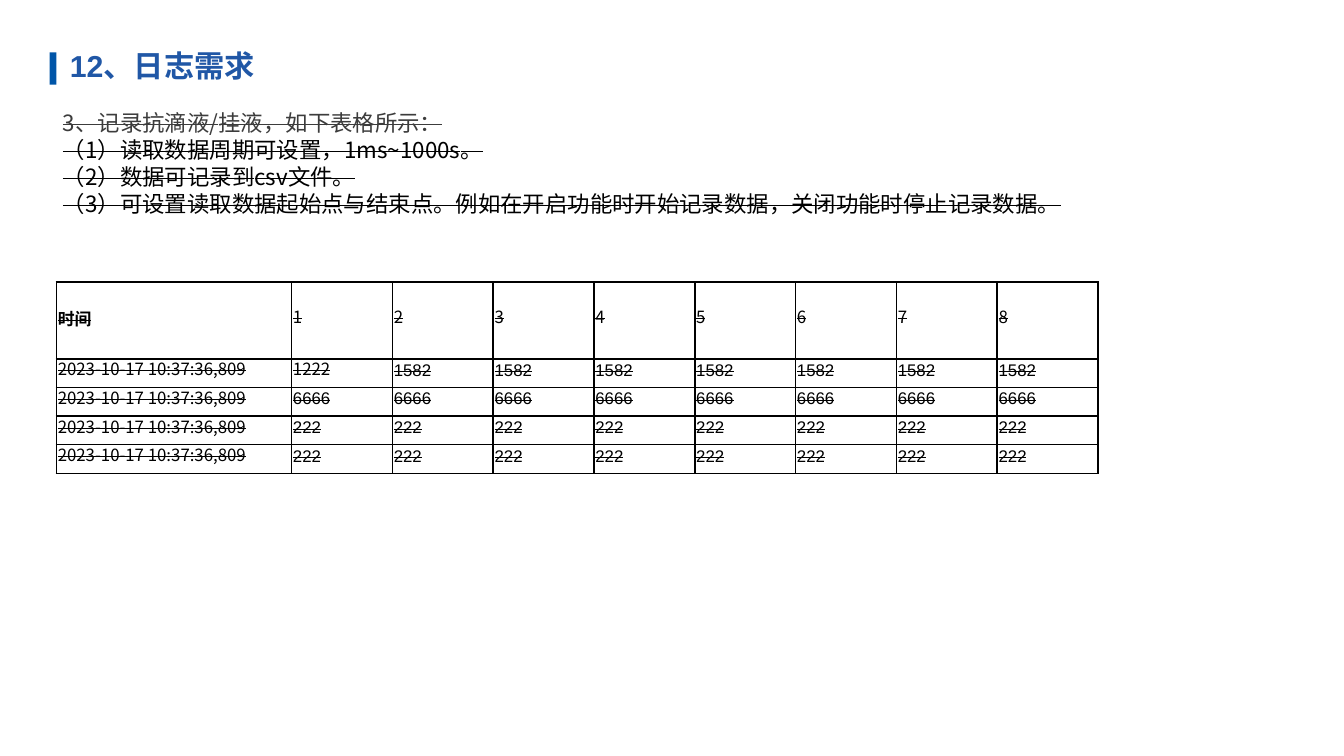
from lxml import etree
from pptx import Presentation, util as u
from pptx.dml.color import RGBColor
from pptx.enum import shapes, text
from pptx.oxml import ns

TITLE = "12、日志需求"
REQUIREMENTS = [
    "3、记录抗滴液/挂液，如下表格所示：",
    "（1）读取数据周期可设置，1ms~1000s。",
    "（2）数据可记录到csv文件。",
    "（3）可设置读取数据起始点与结束点。例如在开启功能时开始记录数据，关闭功能时停止记录数据。",
]
CHANNELS = 8
STAMP = "2023-10-17 10:37:36,809"
LOG = [
    ["时间"] + [str(number + 1) for number in range(CHANNELS)],
    [STAMP, "1222"] + ["1582"] * (CHANNELS - 1),
    [STAMP] + ["6666"] * CHANNELS,
    [STAMP] + ["222"] * CHANNELS,
    [STAMP] + ["222"] * CHANNELS,
]
COLORS = {"title": "2057A6", "bar": "0055A8", "intro": "3C3C3C", "ink": "000000"}
LATIN, CJK = "Arial", "Noto Sans CJK SC"
WIDTH = 10
HEIGHT = WIDTH * 9 / 16
COLUMNS = [1.75] + [0.75] * CHANNELS
ROWS = [0.57] + [0.21] * (len(LOG) - 1)
MARGINS = {"margin_left": 0.01, "margin_right": 0.01, "margin_top": 0.01, "margin_bottom": 0.05}


def box(*lengths):
    return [u.Inches(length) for length in lengths]


def write(paragraph, words, color, size, font, bold=False, strike=True, spacing=None):
    paragraph.alignment = text.PP_ALIGN.LEFT
    if spacing:
        paragraph.line_spacing = u.Pt(spacing)
    run = paragraph.add_run()
    run.text = words
    for name, value in {"name": font, "size": u.Pt(size), "bold": bold}.items():
        setattr(run.font, name, value)
    run.font.color.rgb = RGBColor.from_string(COLORS[color])
    properties = run._r.get_or_add_rPr()
    if strike:
        properties.set("strike", "sngStrike")
    etree.SubElement(properties, ns.qn("a:ea")).set("typeface", CJK)


def draw_borders(cell):
    properties = cell._tc.get_or_add_tcPr()
    for index, side in enumerate(("lnL", "lnR", "lnT", "lnB")):
        line = etree.Element(ns.qn("a:" + side), w=str(u.Pt(1)))
        fill = etree.SubElement(line, ns.qn("a:solidFill"))
        etree.SubElement(fill, ns.qn("a:srgbClr")).set("val", COLORS["ink"])
        properties.insert(index, line)


def add_heading(slide):
    bar = slide.shapes.add_shape(shapes.MSO_SHAPE.RECTANGLE, *box(0.37, 0.39, 0.05, 0.24))
    bar.shadow.inherit = False
    bar.fill.solid()
    bar.fill.fore_color.rgb = RGBColor.from_string(COLORS["bar"])
    bar.line.fill.background()
    title = slide.shapes.title
    title.left, title.top, title.width, title.height = box(0.42, 0.3, 4.59, 0.38)
    title.text_frame.vertical_anchor = text.MSO_ANCHOR.MIDDLE
    write(title.text_frame.paragraphs[0], TITLE, "title", 16.2, LATIN, bold=True, strike=False)


def add_requirements(slide):
    frame = slide.shapes.add_textbox(*box(0.37, 0.76, 9.28, 0.91)).text_frame
    frame.word_wrap = True
    for index, words in enumerate(REQUIREMENTS):
        paragraph = frame.add_paragraph() if index else frame.paragraphs[0]
        write(paragraph, words, "ink" if index else "intro", 12, CJK, spacing=14.5)


def add_log(slide):
    area = box(0.42, 2.1, sum(COLUMNS), sum(ROWS))
    table = slide.shapes.add_table(len(ROWS), len(COLUMNS), *area).table
    for column, width in zip(table.columns, COLUMNS):
        column.width = u.Inches(width)
    for row, height in zip(table.rows, ROWS):
        row.height = u.Inches(height)
    for r, values in enumerate(LOG):
        for c, words in enumerate(values):
            cell = table.cell(r, c)
            cell.fill.background()
            cell.vertical_anchor = text.MSO_ANCHOR.MIDDLE
            for name, value in MARGINS.items():
                setattr(cell, name, u.Inches(value))
            draw_borders(cell)
            heading = r == c == 0
            plain = heading or (c > 0 and r > 0 and (r, c) != (1, 1))
            font, spacing = (LATIN, None) if plain else (CJK, 11)
            write(cell.text_frame.paragraphs[0], words, "ink", 9, font, bold=heading, spacing=spacing)


def main():
    presentation = Presentation()
    presentation.slide_width, presentation.slide_height = box(WIDTH, HEIGHT)
    slide = presentation.slides.add_slide(presentation.slide_layouts[5])
    add_heading(slide)
    add_requirements(slide)
    add_log(slide)
    presentation.save("out.pptx")


if __name__ == "__main__":
    main()
